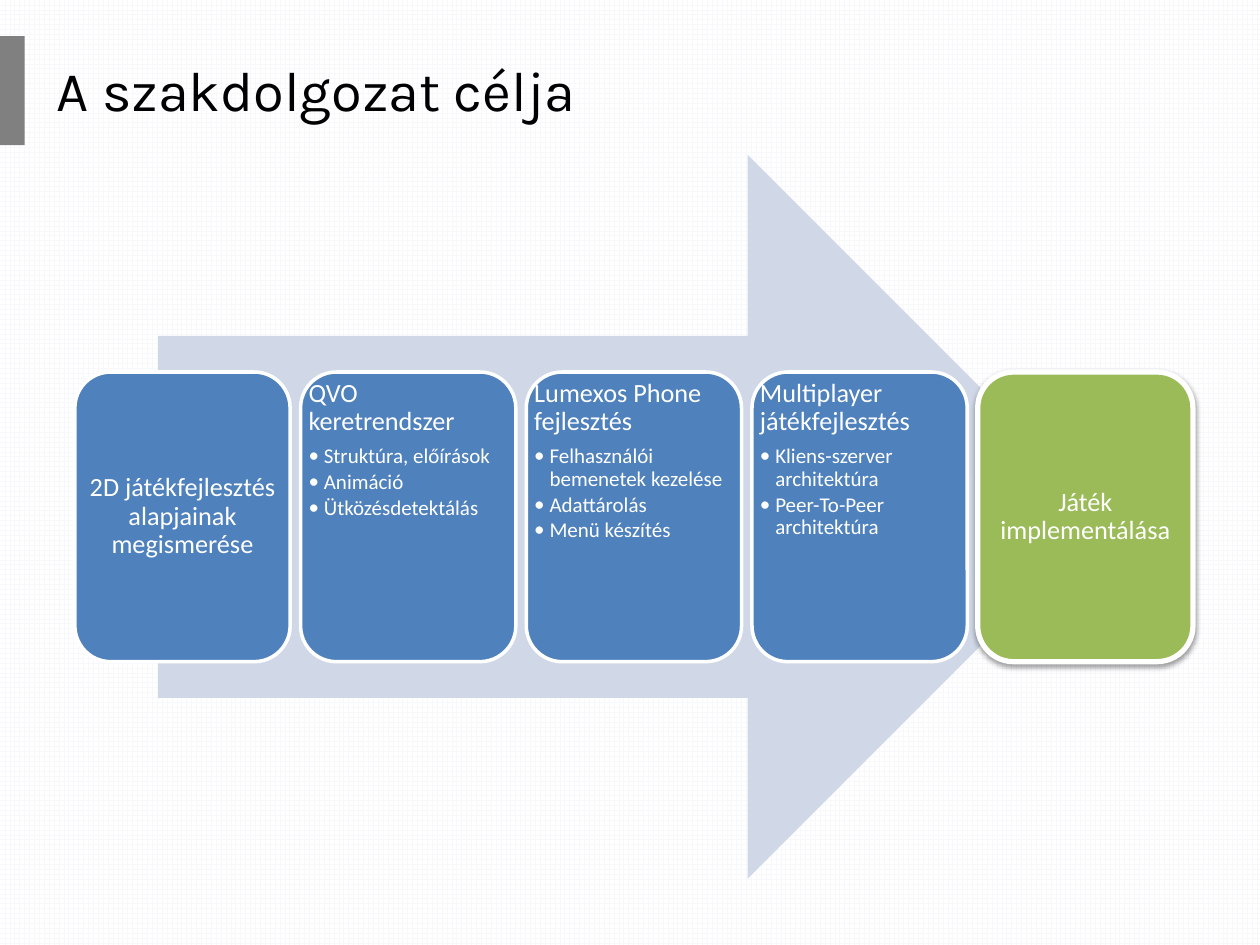
"""Builds the slide on the goal of the thesis: five steps along an arrow."""
from lxml.etree import SubElement
from pptx import Presentation
from pptx.dml.color import RGBColor
from pptx.enum.dml import MSO_PATTERN
from pptx.enum.shapes import MSO_SHAPE
from pptx.enum.text import MSO_ANCHOR, MSO_AUTO_SIZE, PP_ALIGN
from pptx.oxml.ns import qn
from pptx.util import Cm, Pt

TITLE = "A szakdolgozat célja"
STEPS = [
    ("2D játékfejlesztés alapjainak megismerése", []),
    ("QVO keretrendszer", ["Struktúra, előírások", "Animáció", "Ütközésdetektálás"]),
    ("Lumexos Phone fejlesztés",
     ["Felhasználói bemenetek kezelése", "Adattárolás", "Menü készítés"]),
    ("Multiplayer játékfejlesztés",
     ["Kliens-szerver architektúra", "Peer-To-Peer architektúra"]),
    ("Játék implementálása", []),
]
BLUE, GREEN, PALE, GREY = "4F81BD", "9BBB59", "D0D8E8", "808080"
WHITE, BLACK = "FFFFFF", "000000"
CARD_LEFT, CARD_TOP, CARD_WIDTH, CARD_HEIGHT = 1.51, 7.5, 4.34, 5.84
CARD_STEP = 4.55
CARD_INSET = Cm(0.16)
BULLET_INDENT = Cm(0.31)


def rgb(code):
    return RGBColor.from_string(code)


def add_block(slide, kind, box, fill, line=None, line_width=0):
    block = slide.shapes.add_shape(kind, *map(Cm, box))
    block.shadow.inherit = False
    block.fill.solid()
    block.fill.fore_color.rgb = rgb(fill)
    if line:
        block.line.color.rgb = rgb(line)
        block.line.width = Pt(line_width)
    else:
        block.line.fill.background()
    return block


def add_shadow(block):
    effects = block.element.spPr.find(qn("a:effectLst"))
    shadow = SubElement(effects, qn("a:outerShdw"), blurRad=str(Pt(3.1)),
                        dist=str(Pt(1.6)), dir="5400000", rotWithShape="0")
    color = SubElement(shadow, qn("a:srgbClr"), val=BLACK)
    SubElement(color, qn("a:alpha"), val="38000")


def write(paragraph, text, size, font="Calibri", color=WHITE, align=PP_ALIGN.LEFT,
          spacing=0.9, after=0, bullet=False):
    run = paragraph.add_run()
    run.text = text
    run.font.size = Pt(size)
    run.font.name = font
    run.font.color.rgb = rgb(color)
    paragraph.alignment = align
    paragraph.line_spacing = spacing
    paragraph.space_after = Pt(after)
    if bullet:
        paragraph.level = 1
        properties = paragraph._p.get_or_add_pPr()
        properties.set("marL", str(BULLET_INDENT))
        properties.set("indent", str(-BULLET_INDENT))
        SubElement(properties, qn("a:buFont"), typeface="Calibri")
        SubElement(properties, qn("a:buChar"), char="•")


def add_step(slide, index, heading, details):
    is_goal = index == len(STEPS) - 1
    box = (CARD_LEFT + index * CARD_STEP, CARD_TOP, CARD_WIDTH, CARD_HEIGHT)
    card = add_block(slide, MSO_SHAPE.ROUNDED_RECTANGLE, box,
                     GREEN if is_goal else BLUE, WHITE, 3 if is_goal else 2)
    if is_goal:
        add_shadow(card)

    frame = slide.shapes.add_textbox(*map(Cm, box)).text_frame
    frame.word_wrap = True
    frame.margin_left = frame.margin_right = CARD_INSET
    frame.margin_top = frame.margin_bottom = CARD_INSET
    frame.vertical_anchor = MSO_ANCHOR.TOP if details else MSO_ANCHOR.MIDDLE
    write(frame.paragraphs[0], heading, 15, after=5,
          align=PP_ALIGN.LEFT if details else PP_ALIGN.CENTER)
    for detail in details:
        write(frame.add_paragraph(), detail, 12, after=1.8, bullet=True)


def main():
    deck = Presentation()
    deck.slide_width, deck.slide_height = Cm(25.4), Cm(19.05)
    slide = deck.slides.add_slide(deck.slide_layouts[5])

    background = slide.background.fill
    background.patterned()
    background.pattern = MSO_PATTERN.LARGE_GRID
    background.fore_color.rgb = rgb("F6F8FC")
    background.back_color.rgb = rgb(WHITE)

    title = slide.shapes.title
    title.left, title.top, title.width, title.height = map(Cm, (0.89, 0.73, 23.6, 2.15))
    title.text_frame.auto_size = MSO_AUTO_SIZE.NONE
    title.text_frame.vertical_anchor = MSO_ANCHOR.MIDDLE
    write(title.text_frame.paragraphs[0], TITLE, 32, font="Karla", color=BLACK, spacing=1.0)

    add_block(slide, MSO_SHAPE.RECTANGLE, (0, 0.73, 0.5, 2.2), GREY)
    add_block(slide, MSO_SHAPE.RIGHT_ARROW, (3.19, 3.12, 19.18, 14.6), PALE)
    for index, (heading, details) in enumerate(STEPS):
        add_step(slide, index, heading, details)
    deck.save("out.pptx")


if __name__ == "__main__":
    main()
